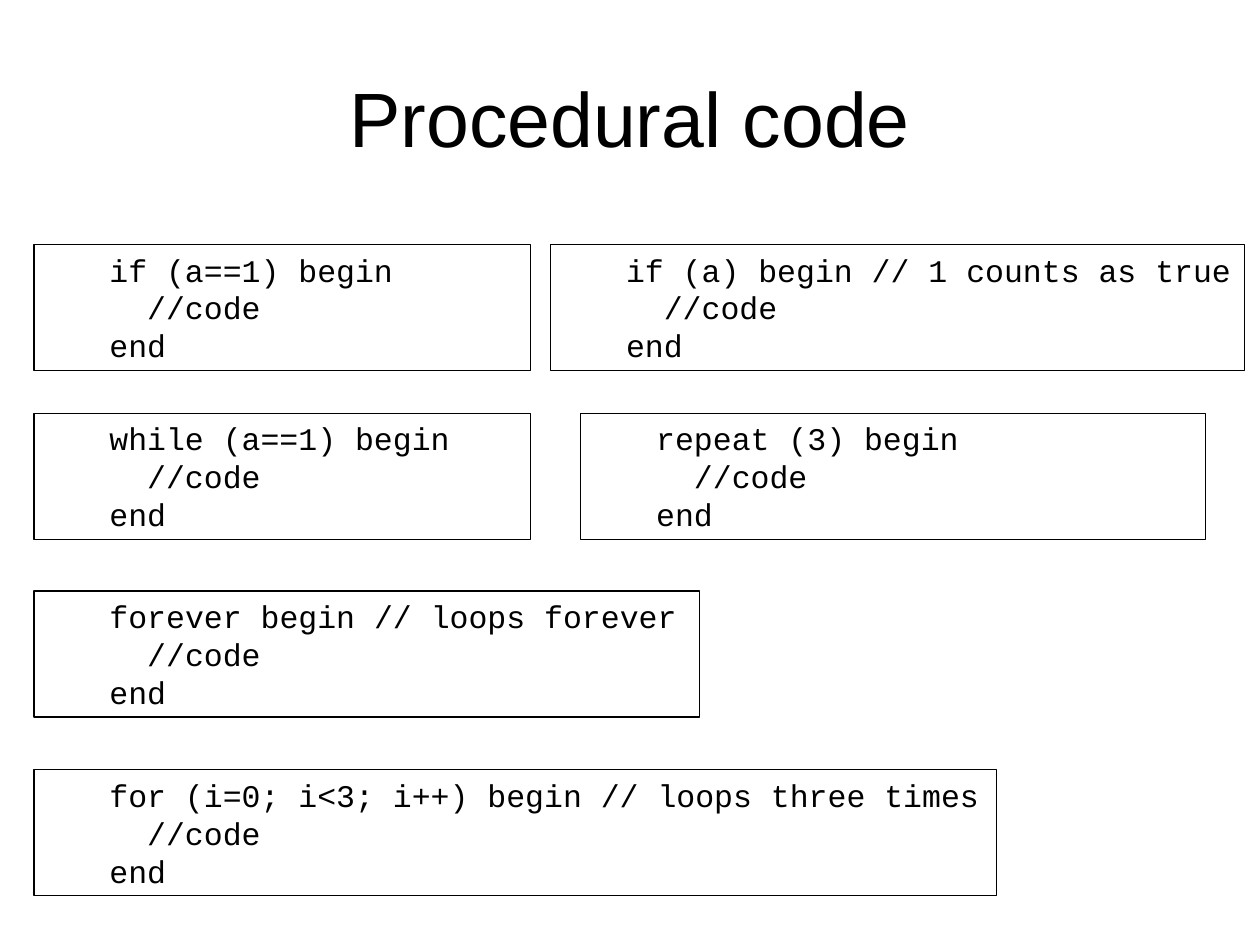
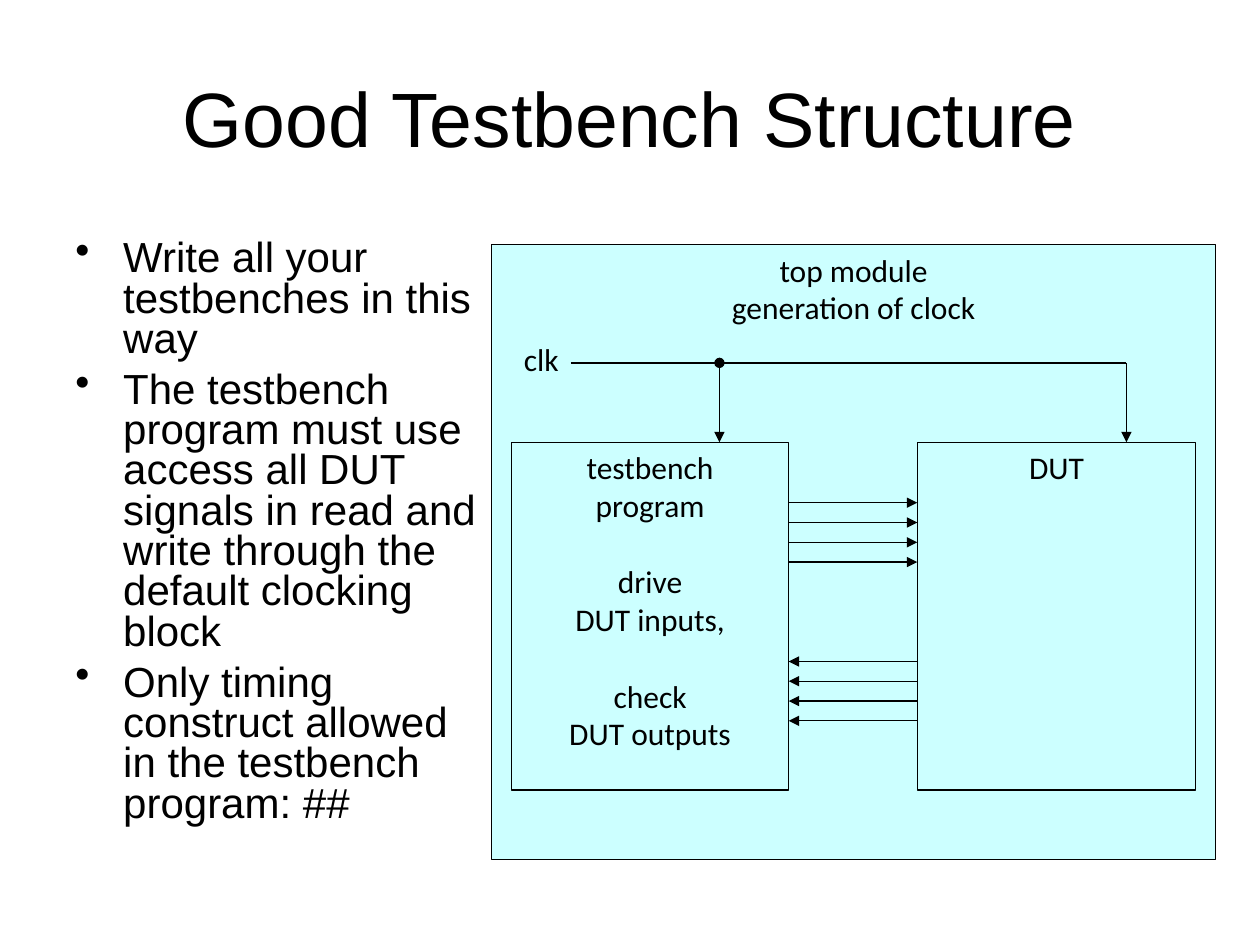
from dataclasses import dataclass
from typing import Optional

from lxml import etree
from pptx import Presentation
from pptx import util as u
from pptx.dml import color
from pptx.enum import shapes, text
from pptx.oxml import ns


@dataclass(frozen=True)
class Theme:
    ink: color.RGBColor = color.RGBColor(0, 0, 0)
    panel: color.RGBColor = color.RGBColor(0xCC, 0xFF, 0xFF)
    line_width: u.Pt = u.Pt(0.75)
    title_font: str = "Arial"
    code_font: str = "Courier New"
    label_font: str = "Calibri"
    title_size: u.Pt = u.Pt(44)
    body_size: u.Pt = u.Pt(24)
    label_size: u.Pt = u.Pt(18)
    group_gap: u.Pt = u.Pt(22)


THEME = Theme()


@dataclass(frozen=True)
class Area:
    left: float
    top: float
    width: float
    height: float

    @property
    def right(self) -> float:
        return self.left + self.width

    def lengths(self) -> list:
        return [u.Inches(value) for value in
                (self.left, self.top, self.width, self.height)]


@dataclass(frozen=True)
class Snippet:
    """A boxed code block; every block has the same body and end."""
    left: float
    top: float
    width: float
    opening: str


@dataclass(frozen=True)
class Module:
    """A filled box whose text comes in groups of lines."""
    area: Area
    groups: tuple


@dataclass(frozen=True)
class Wire:
    start: tuple
    end: tuple
    head: Optional[str] = None
    tail: Optional[str] = "triangle"


def apply(target, formats: dict) -> None:
    for name, value in formats.items():
        setattr(target, name, value)


def prepare_frame(box, formats: dict):
    frame = box.text_frame
    apply(frame, {
        "margin_left": u.Inches(0.1), "margin_right": u.Inches(0.1),
        "margin_top": u.Inches(0.05), "margin_bottom": u.Inches(0.05),
        "word_wrap": True, "vertical_anchor": text.MSO_ANCHOR.TOP, **formats})
    return frame


def add_paragraph(frame, words: str, font: str, size, formats: dict,
                  margin: float = 0, indent: float = 0, bullet: str = ""):
    is_first = not frame.paragraphs[0].runs
    para = frame.paragraphs[0] if is_first else frame.add_paragraph()
    properties = para._p.get_or_add_pPr()
    properties.set("marL", str(u.Inches(margin)))
    properties.set("indent", str(u.Inches(indent)))
    if bullet:
        mark = etree.SubElement(properties, ns.qn("a:buChar"))
        mark.set("char", bullet)
    apply(para, formats)
    if is_first:
        para.space_before = u.Pt(0)
    span = para.add_run()
    span.text = words
    apply(span.font, {"name": font, "size": size})
    span.font.color.rgb = THEME.ink


def add_text_box(page, area: Area, formats: dict):
    return prepare_frame(page.shapes.add_textbox(*area.lengths()), formats)


def add_box(page, area: Area, formats: dict, fill=None):
    box = page.shapes.add_shape(shapes.MSO_SHAPE.RECTANGLE, *area.lengths())
    box.shadow.inherit = False
    if fill is None:
        box.fill.background()
    else:
        box.fill.solid()
        box.fill.fore_color.rgb = fill
    box.line.color.rgb = THEME.ink
    box.line.width = THEME.line_width
    return prepare_frame(box, formats)


def add_page(deck, title: str):
    page = deck.slides.add_slide(deck.slide_layouts[6])
    frame = add_text_box(page, Area(0.5, 0.3, 9, 1.25),
                         {"vertical_anchor": text.MSO_ANCHOR.MIDDLE})
    add_paragraph(frame, title, THEME.title_font, THEME.title_size,
                  {"alignment": text.PP_ALIGN.CENTER})
    return page


def add_snippet(page, snippet: Snippet) -> None:
    frame = add_box(page, Area(snippet.left, snippet.top, snippet.width, 1), {})
    for line in (snippet.opening, "  //code", "end"):
        add_paragraph(frame, line, THEME.code_font, THEME.label_size,
                      {"alignment": text.PP_ALIGN.LEFT}, margin=0.5)


def add_module(page, module: Module) -> None:
    frame = add_box(page, module.area, {"word_wrap": False}, THEME.panel)
    for group in module.groups:
        for number, line in enumerate(group):
            gap = u.Pt(0) if number else THEME.group_gap
            add_paragraph(frame, line, THEME.label_font, THEME.label_size,
                          {"alignment": text.PP_ALIGN.CENTER,
                           "space_before": gap})


def add_wire(page, wire: Wire) -> None:
    ends = [u.Inches(value) for value in (*wire.start, *wire.end)]
    connector = page.shapes.add_connector(shapes.MSO_CONNECTOR.STRAIGHT, *ends)
    connector.line.color.rgb = THEME.ink
    connector.line.width = THEME.line_width
    outline = connector.line._get_or_add_ln()
    for tag, kind in (("a:headEnd", wire.head), ("a:tailEnd", wire.tail)):
        if kind:
            etree.SubElement(outline, ns.qn(tag)).set("type", kind)
    etree.SubElement(connector._element.spPr, ns.qn("a:effectLst"))


def build_procedural_code(deck) -> None:
    page = add_page(deck, "Procedural code")
    left = 0.27
    for snippet in (
        Snippet(left, 1.94, 3.94, "if (a==1) begin"),
        Snippet(left, 3.28, 3.94, "while (a==1) begin"),
        Snippet(left, 4.69, 5.28, "forever begin // loops forever"),
        Snippet(left, 6.11, 7.64,
                "for (i=0; i<3; i++) begin // loops three times"),
        Snippet(4.37, 1.94, 5.51, "if (a) begin // 1 counts as true"),
        Snippet(4.61, 3.28, 4.96, "repeat (3) begin"),
    ):
        add_snippet(page, snippet)


def build_testbench_structure(deck) -> None:
    page = add_page(deck, "Good Testbench Structure")

    # Advice
    frame = add_text_box(page, Area(0.5, 1.86, 3.4, 4.84), {})
    for advice in (
        "Write all your testbenches in this way",
        "The testbench program must use access all DUT signals in read and "
        "write through the default clocking block",
        "Only timing construct allowed in the testbench program: ##",
    ):
        add_paragraph(frame, advice, THEME.title_font, THEME.body_size,
                      {"line_spacing": 0.8, "space_before": u.Pt(6)},
                      margin=0.38, indent=-0.38, bullet="•")

    # Modules
    program = Area(4.06, 3.51, 2.2, 2.76)
    dut = Area(7.28, 3.51, 2.21, 2.76)
    for module in (
        Module(Area(3.9, 1.94, 5.75, 4.88),
               (("top module", "generation of clock"),)),
        Module(program, (("testbench", "program"), ("drive", "DUT inputs,"),
                         ("check", "DUT outputs"))),
        Module(dut, (("DUT",),)),
    ):
        add_module(page, module)

    # Signals between the program and the DUT
    signal_step = 0.157
    for first, start, end in ((3.99, program.right, dut.left),
                              (5.25, dut.left, program.right)):
        for number in range(4):
            height = first + number * signal_step
            add_wire(page, Wire((start, height), (end, height)))

    # Clock
    frame = add_text_box(page, Area(4.06, 2.65, 0.79, 0.4), {})
    add_paragraph(frame, "clk", THEME.label_font, THEME.label_size, {})
    clock, program_tap, dut_tap = 2.88, 5.71, 8.94
    for wire in (
        Wire((dut_tap, clock), (dut_tap, dut.top)),
        Wire((program_tap, clock), (program_tap, program.top), head="oval"),
        Wire((4.53, clock), (dut_tap, clock), tail=None),
    ):
        add_wire(page, wire)


def main() -> None:
    deck = Presentation()
    apply(deck, {"slide_width": u.Inches(10), "slide_height": u.Inches(7.5)})
    build_procedural_code(deck)
    build_testbench_structure(deck)
    deck.save("out.pptx")


if __name__ == "__main__":
    main()
